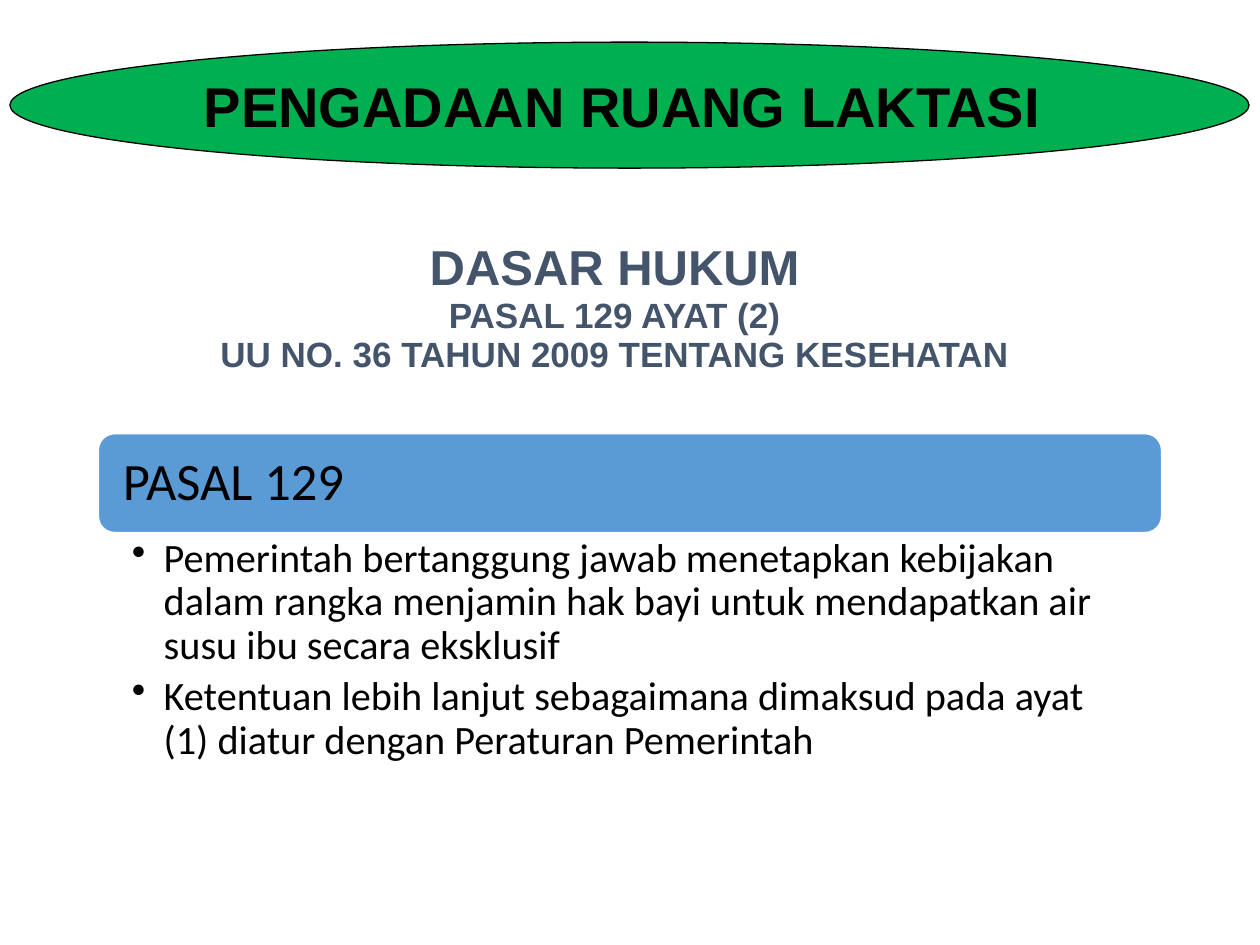
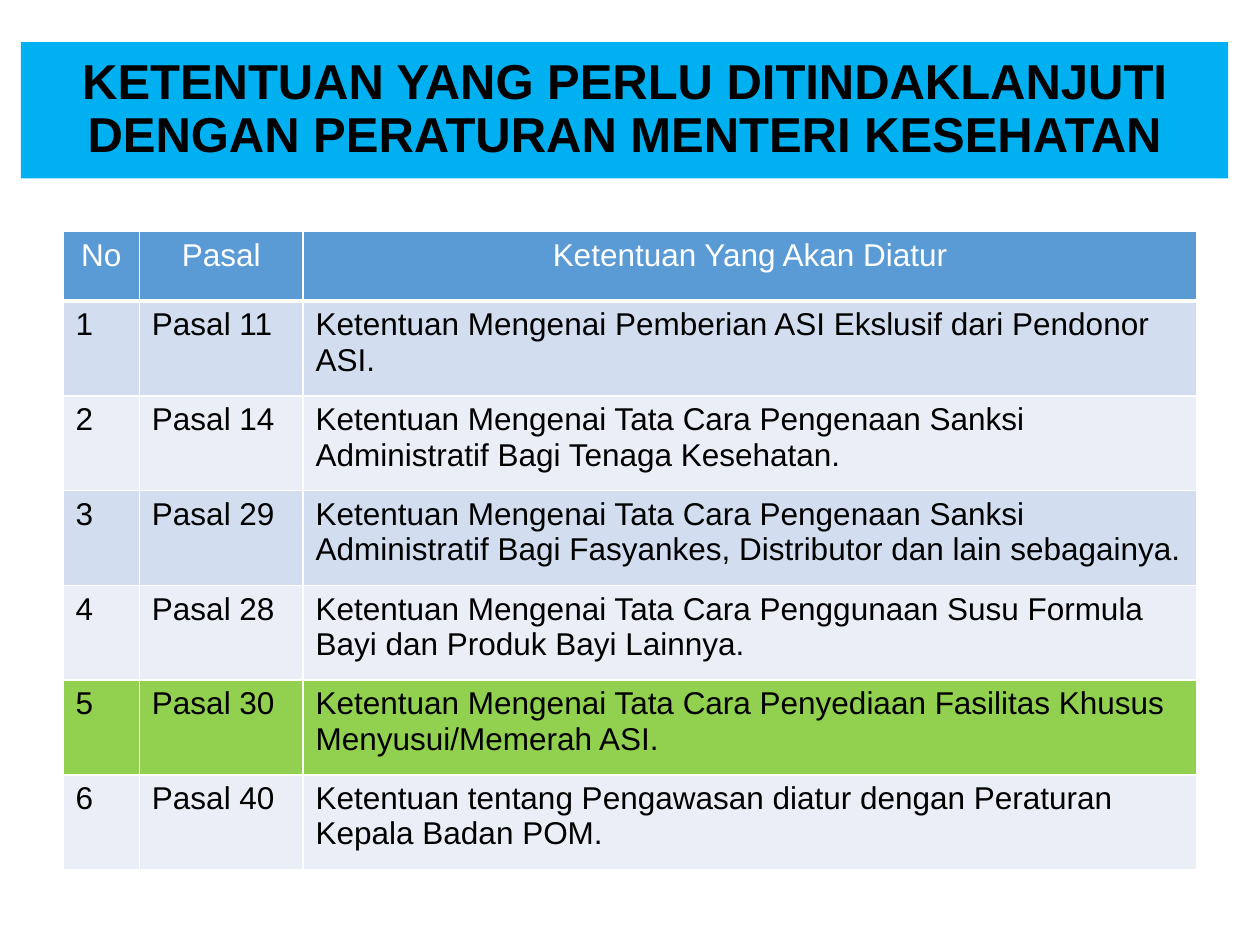
import pptx
import pptx.dml.color
import pptx.enum.shapes
import pptx.enum.text
import pptx.oxml
import pptx.oxml.ns
import pptx.util
from pptx.util import Cm

# Content
BANNER = "PENGADAAN RUANG LAKTASI"
LEGAL_BASIS = [
    ("DASAR HUKUM", 28),
    ("PASAL 129 AYAT (2)", 20),
    ("UU NO. 36 TAHUN 2009 TENTANG KESEHATAN", 20),
]
ARTICLE = "PASAL 129"
CLAUSES = [
    "Pemerintah bertanggung jawab menetapkan kebijakan dalam rangka menjamin hak bayi "
    "untuk mendapatkan air susu ibu secara eksklusif",
    "Ketentuan lebih lanjut sebagaimana dimaksud pada ayat (1) diatur dengan "
    "Peraturan Pemerintah",
]
FOLLOW_UP_TITLE = "KETENTUAN YANG PERLU DITINDAKLANJUTI DENGAN PERATURAN MENTERI KESEHATAN"
HEADER = ("No", "Pasal", "Ketentuan Yang Akan Diatur")
PROVISIONS = [
    ("Pasal 11", "Ketentuan Mengenai Pemberian ASI Ekslusif dari Pendonor ASI."),
    ("Pasal 14", "Ketentuan Mengenai Tata Cara Pengenaan Sanksi Administratif Bagi "
                 "Tenaga Kesehatan."),
    ("Pasal 29", "Ketentuan Mengenai Tata Cara Pengenaan Sanksi Administratif Bagi "
                 "Fasyankes, Distributor dan lain sebagainya."),
    ("Pasal 28", "Ketentuan Mengenai Tata Cara Penggunaan Susu Formula Bayi dan "
                 "Produk Bayi Lainnya."),
    ("Pasal 30", "Ketentuan Mengenai Tata Cara Penyediaan Fasilitas Khusus "
                 "Menyusui/Memerah ASI."),
    ("Pasal 40", "Ketentuan tentang Pengawasan diatur dengan Peraturan Kepala Badan POM."),
]
HIGHLIGHTED_ROW = 5

# Shared style
COLORS = {
    "black": "000000", "white": "FFFFFF", "slate": "44546A", "blue": "5B9BD5",
    "green": "00B050", "sky": "00B0F0", "band_dark": "D2DEEF",
    "band_light": "EAEFF7", "highlight": "92D050",
}
HEADING_FONT = "Arial"
BODY_FONT = "Calibri"
LEFT = pptx.enum.text.PP_ALIGN.LEFT
CENTER = pptx.enum.text.PP_ALIGN.CENTER
MIDDLE = pptx.enum.text.MSO_ANCHOR.MIDDLE
TOP = pptx.enum.text.MSO_ANCHOR.TOP
SHAPES = pptx.enum.shapes.MSO_SHAPE
BANNER_TOP = 0.85


def color(name):
    return pptx.dml.color.RGBColor.from_string(COLORS[name])


def add_shape(slide, kind, box, fill, line=None, line_width=1):
    shape = slide.shapes.add_shape(kind, *map(Cm, box))
    shape.shadow.inherit = False
    shape.fill.solid()
    shape.fill.fore_color.rgb = color(fill)
    if line:
        shape.line.color.rgb = color(line)
        shape.line.width = pptx.util.Pt(line_width)
    else:
        shape.line.fill.background()
    return shape


def add_textbox(slide, box):
    return slide.shapes.add_textbox(*map(Cm, box))


def setup_frame(shape, anchor=MIDDLE, insets=(0.25, 0.13, 0.25, 0.13)):
    frame = shape.text_frame
    frame.word_wrap = True
    frame.vertical_anchor = anchor
    (frame.margin_left, frame.margin_top,
     frame.margin_right, frame.margin_bottom) = map(Cm, insets)
    return frame


def write(frame, items, font=HEADING_FONT, ink="black", bold=False, align=LEFT,
          spacing=0.9, gap=0, bullet=False):
    """Fill a text frame with one paragraph per (text, size) pair."""
    for index, (text, size) in enumerate(items):
        paragraph = frame.paragraphs[0] if index == 0 else frame.add_paragraph()
        paragraph.alignment = align
        paragraph.line_spacing = spacing
        if index and gap:
            paragraph.space_before = pptx.util.Pt(gap)
        if bullet:
            properties = paragraph._p.get_or_add_pPr()
            properties.set("marL", str(Cm(0.64)))
            properties.set("indent", str(Cm(-0.64)))
            mark = pptx.oxml.parse_xml(
                f'<a:buChar {pptx.oxml.ns.nsdecls("a")} char="•"/>')
            properties.append(mark)
        run = paragraph.add_run()
        run.text = text
        run.font.name = font
        run.font.size = pptx.util.Pt(size)
        run.font.bold = bold
        run.font.color.rgb = color(ink)


def style_cell(cell, fill, bottom_width=1):
    properties = cell._tc.get_or_add_tcPr()
    for side, width in (("L", 1), ("R", 1), ("T", 1), ("B", bottom_width)):
        properties.append(pptx.oxml.parse_xml(
            f'<a:ln{side} {pptx.oxml.ns.nsdecls("a")} w="{pptx.util.Pt(width)}">'
            f'<a:solidFill><a:srgbClr val="{COLORS["white"]}"/></a:solidFill></a:ln{side}>'))
    cell.fill.solid()
    cell.fill.fore_color.rgb = color(fill)


def build_legal_basis(slide):
    # Legal basis heading
    heading = add_textbox(slide, (0.58, 4.78, 23.62, 4.95))
    write(setup_frame(heading, TOP), LEGAL_BASIS, ink="slate", bold=True,
          align=CENTER, gap=1)

    # Article bar with its clauses below
    left, top, width, bar_height = 1.98, 8.74, 21.44, 2.0
    bar = add_shape(slide, SHAPES.ROUNDED_RECTANGLE, (left, top, width, bar_height),
                    "blue", "white")
    write(setup_frame(bar, insets=(0.4, 0.3, 0.4, 0.3)), [(ARTICLE, 30)], BODY_FONT)
    clauses = add_textbox(slide, (left, top + bar_height, width, 4.93))
    write(setup_frame(clauses, TOP, (0.68, 0.1, 0.6, 0.1)),
          [(clause, 23) for clause in CLAUSES], BODY_FONT, gap=4.6, bullet=True)

    # Oval banner
    banner = add_shape(slide, SHAPES.OVAL, (0.2, BANNER_TOP, 24.98, 2.54),
                       "green", "black", 0.75)
    write(setup_frame(banner), [(BANNER, 32)], bold=True, spacing=1)


def build_follow_up(slide):
    # Title band
    band = add_shape(slide, SHAPES.RECTANGLE, (0.42, BANNER_TOP, 24.34, 2.75), "sky")
    write(setup_frame(band), [(FOLLOW_UP_TITLE, 28)], bold=True, align=CENTER)

    # Table of provisions
    rows = [HEADER] + [(str(number), *provision)
                       for number, provision in enumerate(PROVISIONS, 1)]
    column_widths = (1.54, 3.3, 18.02)
    row_heights = [1.41] + [1.91] * len(PROVISIONS)
    table = slide.shapes.add_table(
        len(rows), len(HEADER), Cm(1.27), Cm(4.66),
        Cm(sum(column_widths)), Cm(sum(row_heights))).table
    for column, width in zip(table.columns, column_widths):
        column.width = Cm(width)
    for row_index, texts in enumerate(rows):
        table.rows[row_index].height = Cm(row_heights[row_index])
        is_header = row_index == 0
        if is_header:
            fill = "blue"
        elif row_index == HIGHLIGHTED_ROW:
            fill = "highlight"
        else:
            fill = "band_dark" if row_index % 2 else "band_light"
        for column_index, text in enumerate(texts):
            cell = table.cell(row_index, column_index)
            style_cell(cell, fill, 3 if is_header else 1)
            write(cell.text_frame, [(text, 18)], ink="white" if is_header else "black",
                  align=CENTER if is_header else LEFT, spacing=1)


def main():
    presentation = pptx.Presentation()
    presentation.slide_width = Cm(25.4)
    presentation.slide_height = Cm(19.05)
    for build in (build_legal_basis, build_follow_up):
        build(presentation.slides.add_slide(presentation.slide_layouts[6]))
    presentation.save("out.pptx")


if __name__ == "__main__":
    main()
